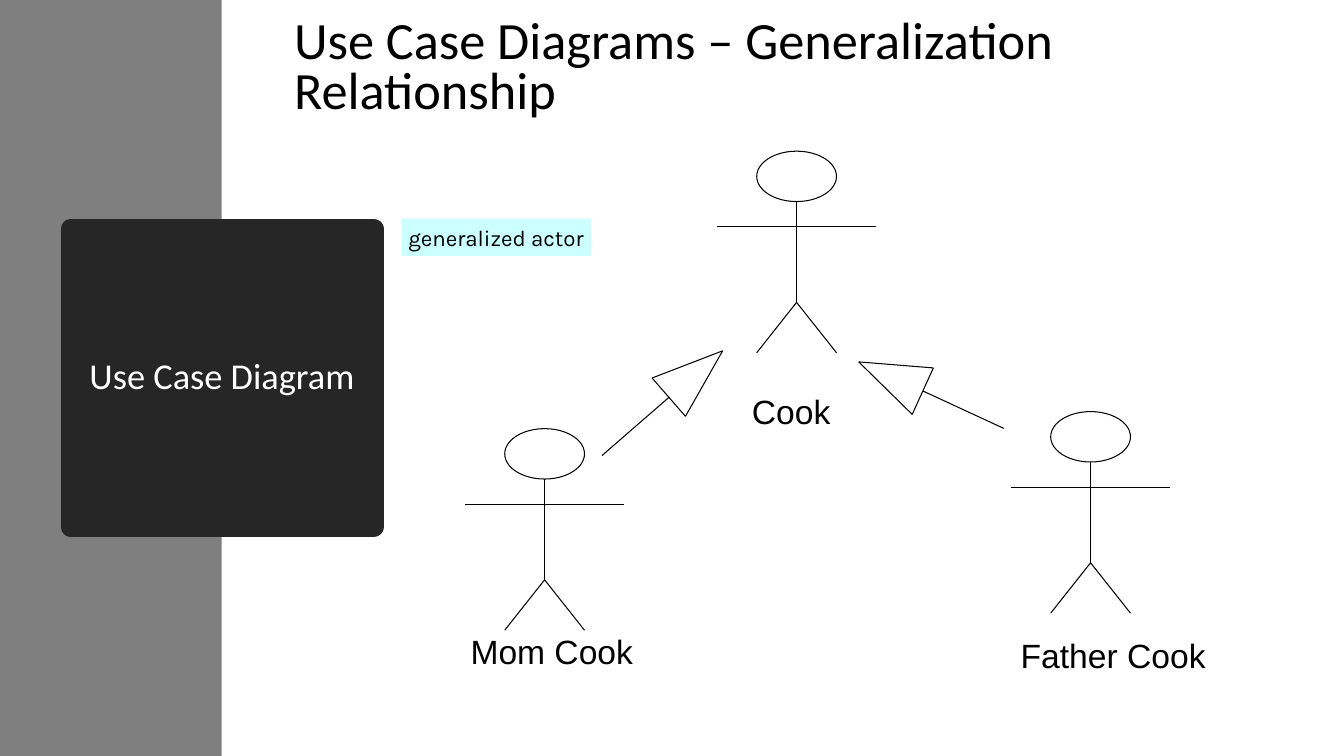
"""Build a slide showing actor generalization in a use case diagram."""
import itertools

import lxml.etree
import pptx
import pptx.dml.color
import pptx.enum.shapes
import pptx.enum.text
import pptx.oxml.ns
import pptx.util

Pt = pptx.util.Pt
ALIGN = pptx.enum.text.PP_ALIGN
ANCHOR = pptx.enum.text.MSO_ANCHOR
SHAPE = pptx.enum.shapes.MSO_SHAPE
BLACK = "000000"


def color(hex_code):
    """Return the colour for a hex string."""
    return pptx.dml.color.RGBColor.from_string(hex_code)


def set_attributes(target, values):
    """Set every named attribute on the target."""
    for name, value in values.items():
        setattr(target, name, value)


def style_shape(shape, fill=None, line=None, width=0.75):
    """Give a shape its fill and outline, or none of them."""
    if fill:
        shape.fill.solid()
        shape.fill.fore_color.rgb = color(fill)
    else:
        shape.fill.background()
    if line:
        shape.line.color.rgb = color(line)
        shape.line.width = Pt(width)
    else:
        shape.line.fill.background()


def add_shape(shapes, kind, box, **style):
    """Add a preset shape without shadow."""
    shape = shapes.add_shape(kind, *map(Pt, box))
    shape.shadow.inherit = False
    style_shape(shape, **style)
    return shape


def add_line(shapes, start, end):
    """Add a thin black straight line without shadow."""
    line = shapes.add_connector(
        pptx.enum.shapes.MSO_CONNECTOR.STRAIGHT, *map(Pt, (*start, *end)))
    line.line.color.rgb = color(BLACK)
    line.line.width = Pt(0.75)
    properties = line.element.find(pptx.oxml.ns.qn("p:spPr"))
    lxml.etree.SubElement(properties, pptx.oxml.ns.qn("a:effectLst"))


def write_text(shape, text, font, size, font_color=BLACK, align=ALIGN.LEFT,
               anchor=ANCHOR.TOP, spacing=1.0, wrap=True, side_margin=7.2):
    """Write one formatted paragraph into a shape."""
    frame = shape.text_frame
    frame.text = text
    paragraph = frame.paragraphs[0]
    set_attributes(frame, {"word_wrap": wrap, "vertical_anchor": anchor,
                           "auto_size": pptx.enum.text.MSO_AUTO_SIZE.NONE,
                           "margin_left": Pt(side_margin),
                           "margin_right": Pt(side_margin)})
    set_attributes(paragraph, {"alignment": align, "line_spacing": spacing})
    run_font = paragraph.runs[0].font
    set_attributes(run_font, {"name": font, "size": Pt(size), "bold": False})
    run_font.color.rgb = color(font_color)


def add_text(slide, box, text, font, size, **style):
    """Add a text box with one paragraph."""
    shape = slide.shapes.add_textbox(*map(Pt, box))
    write_text(shape, text, font, size, **style)


def add_actor(slide, center, top):
    """Draw a stick figure as a group."""
    shapes = slide.shapes.add_group_shape().shapes
    half = 28.5
    neck, arms, hip, feet = (top + drop for drop in (36, 54, 108, 144))
    add_shape(shapes, SHAPE.OVAL, (center - half, top, 2 * half, 36), line=BLACK)
    add_line(shapes, (center, neck), (center, hip))
    builder = shapes.build_freeform(Pt(center - half), Pt(feet))
    builder.add_line_segments(
        [(Pt(center), Pt(hip)), (Pt(center + half), Pt(feet))], close=False)
    legs = builder.convert_to_shape()
    legs.shadow.inherit = False
    style_shape(legs, line=BLACK)
    add_line(shapes, (center - 2 * half, arms), (center + 2 * half, arms))


def add_generalization(slide, tail, neck, triangle):
    """Draw a shaft and a hollow triangular head as a group."""
    shapes = slide.shapes.add_group_shape().shapes
    add_line(shapes, tail, neck)
    for start, end in itertools.combinations(triangle, 2):
        add_line(shapes, start, end)


def add_topic_title(slide):
    """Turn the title placeholder into a dark panel over a grey side band."""
    title = slide.shapes.title
    band = add_shape(slide.shapes, SHAPE.RECTANGLE, (0, 0, 158.4, 540),
                     fill="7F7F7F")
    title.element.addprevious(band.element)
    set_attributes(title, {"left": Pt(50.4), "top": Pt(163.4),
                           "width": Pt(216.7), "height": Pt(213.1)})
    style_shape(title, fill="262626", line="262626", width=13.75)
    write_text(title, "Use Case Diagram", "Calibri", 26, font_color="FFFFFF",
               align=ALIGN.CENTER, anchor=ANCHOR.MIDDLE, spacing=0.9)


def main():
    """Build and save the presentation."""
    presentation = pptx.Presentation()
    set_attributes(presentation,
                   {"slide_width": Pt(960), "slide_height": Pt(540)})
    slide = presentation.slides.add_slide(presentation.slide_layouts[5])
    add_topic_title(slide)
    add_text(slide, (203, 10.8, 742, 77.8),
             "Use Case Diagrams – Generalization Relationship", "Calibri", 37.4,
             anchor=ANCHOR.MIDDLE, spacing=0.8)

    for center, top in ((569, 108), (389, 306.2), (779, 294)):
        add_actor(slide, center, top)
    for name, left, top, width, wrap in (
            ("Cook", 530, 276, 86.4, True),
            ("Mom Cook", 329, 447, 130.3, False),
            ("Father Cook", 722, 450, 152.6, True)):
        add_text(slide, (left, top, width, 36), name, "Arial", 24, wrap=wrap)

    add_generalization(slide, (430, 325.4), (478, 283.7),
                       ((465.8, 270), (489.6, 297.4), (516.2, 250.6)))
    add_generalization(slide, (717, 306), (659.5, 279.4),
                       ((651.6, 296), (666.7, 262.8), (613.4, 258.5)))

    note = add_shape(slide.shapes, SHAPE.RECTANGLE, (286.6, 156.2, 135.4, 26.6),
                     fill="CCFFFF")
    write_text(note, "generalized actor", "Karla", 16, align=ALIGN.CENTER,
               anchor=ANCHOR.MIDDLE, side_margin=0)
    presentation.save("out.pptx")


if __name__ == "__main__":
    main()
